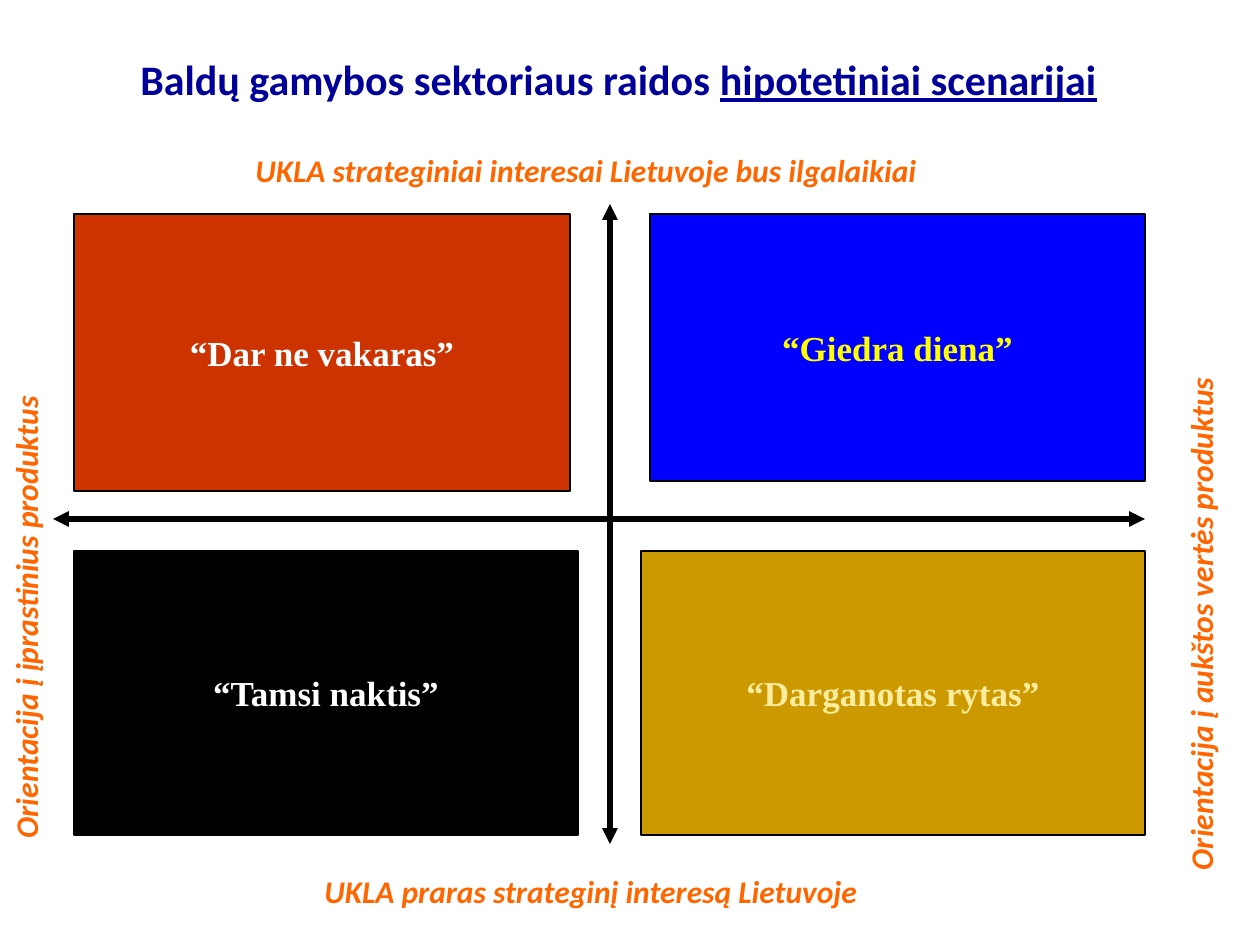
from lxml import etree
from pptx import Presentation, util as u
from pptx.dml.color import RGBColor
from pptx.enum import shapes, text
from pptx.oxml.ns import qn

SCALE = 914400 / 126
INK = {"navy": "000099", "orange": "FF6600", "black": "000000", "white": "FFFFFF",
       "red": "CC3300", "blue": "0000FF", "yellow": "FFFF00", "gold": "CC9900",
       "cream": "FFED9F"}


def px(*vals):
    """Turn pixels into EMU."""
    return [u.Emu(round(v * SCALE)) for v in vals]


def rgb(name):
    """Look up a colour."""
    return RGBColor.from_string(INK[name])


def style(para, face, size, ink, slant=False):
    """Set the bold font of a paragraph."""
    font = para.font
    font.name, font.size, font.bold, font.italic = face, u.Pt(size), True, slant
    font.color.rgb = rgb(ink)


def head(slide, box):
    """Fill the title, underlining its last words."""
    title = slide.shapes.title
    title.left, title.top, title.width, title.height = px(*box)
    frame = title.text_frame
    frame.vertical_anchor = text.MSO_ANCHOR.MIDDLE
    para = frame.paragraphs[0]
    para.alignment = text.PP_ALIGN.CENTER
    style(para, "Calibri", 24, "navy")
    para.add_run().text = "Baldų gamybos sektoriaus raidos "
    run = para.add_run()
    run.text = "hipotetiniai scenarijai"
    run.font.underline = True


def label(slide, box, words, turn=0):
    """Place the name of one end of an axis."""
    area = slide.shapes.add_textbox(*px(*box))
    area.rotation = turn
    frame = area.text_frame
    frame.word_wrap = True
    para = frame.paragraphs[0]
    para.text = words
    style(para, "Calibri", 18, "orange", True)


def axis(slide, start, end):
    """Draw a line with an arrowhead at both ends."""
    line = slide.shapes.add_connector(shapes.MSO_CONNECTOR.STRAIGHT, *px(*start, *end))
    line.line.color.rgb = rgb("black")
    line.line.width = u.Pt(3)
    for tag in ("a:headEnd", "a:tailEnd"):
        etree.SubElement(line.line._get_or_add_ln(), qn(tag)).set("type", "triangle")
    etree.SubElement(line._element.spPr, qn("a:effectLst"))


def cell(slide, box, words, fill, ink):
    """Draw one scenario."""
    rect = slide.shapes.add_shape(shapes.MSO_SHAPE.RECTANGLE, *px(*box))
    rect.shadow.inherit = False
    rect.fill.solid()
    rect.fill.fore_color.rgb = rgb(fill)
    rect.line.color.rgb = rgb("black")
    rect.line.width = u.Pt(0.75)
    frame = rect.text_frame
    frame.word_wrap = False
    frame.vertical_anchor = text.MSO_ANCHOR.MIDDLE
    para = frame.paragraphs[0]
    para.text = words
    para.alignment = text.PP_ALIGN.CENTER
    style(para, "Times New Roman", 20, ink)


def matrix(slide, box):
    """Draw the crossed axes and the four scenarios."""
    left, top, wide, high = box
    mid, row = left + 557, top + 315
    axis(slide, (mid, top), (mid, top + high))
    axis(slide, (left, row), (left + wide, row))
    low = top + 347
    near, edge = left + 21, left + wide
    for right, y, w, h, *look in (
        (False, top + 10, 496, 277, "“Dar ne vakaras”", "red", "white"),
        (True, top + 10, 495, 267, "“Giedra diena”", "blue", "yellow"),
        (False, low, 504, 284, "“Tamsi naktis”", "black", "white"),
        (True, low, 504, 284, "“Darganotas rytas”", "gold", "cream"),
    ):
        cell(slide, (edge - w if right else near, y, w, h), *look)


def main():
    """Build the slide."""
    deck = Presentation()
    deck.slide_width, deck.slide_height = px(1260, 945)
    slide = deck.slides.add_slide(deck.slide_layouts[5])
    head(slide, (25, 0, 1187, 158))
    matrix(slide, (53, 204, 1092, 640))
    label(slide, (243, 145, 777, 50), "UKLA strateginiai interesai Lietuvoje bus ilgalaikiai")
    label(slide, (312, 866, 641, 50), "UKLA praras strateginį interesą Lietuvoje")
    label(slide, (-243, 557, 537, 50), "Orientacija į įprastinius produktus", 270)
    label(slide, (902, 559, 597, 50), "Orientacija į aukštos vertės produktus", 270)
    deck.save("out.pptx")


main()
